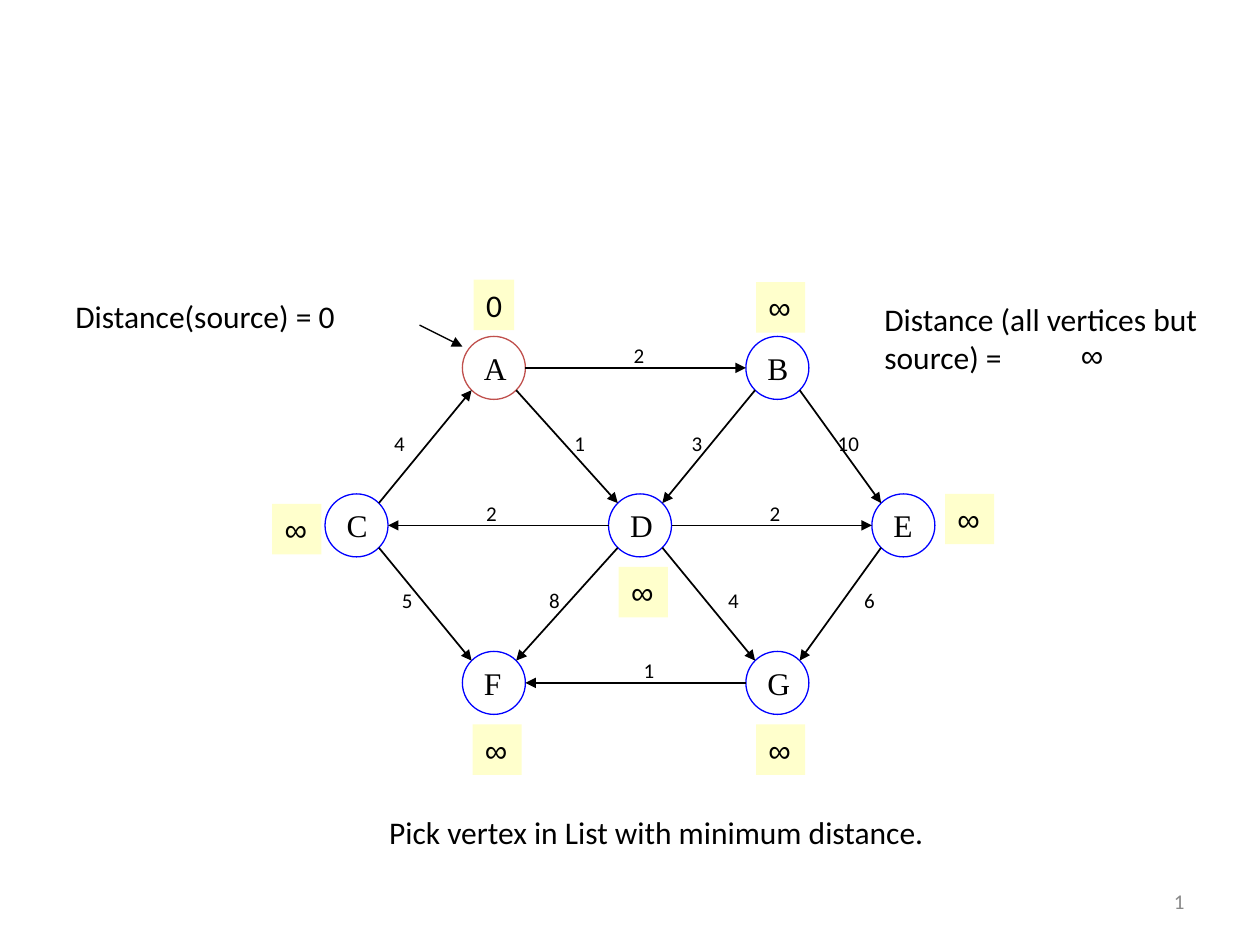
"""Build a slide showing the first step of a shortest-path search on a graph."""
from lxml import etree
from pptx import Presentation
from pptx import util as u
from pptx.dml.color import RGBColor
from pptx.enum import shapes, text
from pptx.oxml import ns

BLACK = RGBColor(0x00, 0x00, 0x00)
WHITE = RGBColor(0xFF, 0xFF, 0xFF)
BLUE = RGBColor(0x00, 0x00, 0xFF)
RED = RGBColor(0xC0, 0x50, 0x4D)
YELLOW = RGBColor(0xFF, 0xFF, 0xCC)
GREY = RGBColor(0x89, 0x89, 0x89)

RADIUS = 0.25
DIAGONAL = RADIUS * 0.5 ** 0.5
ROW_TOP, ROW_GAP = 2.92, 1.25
SOURCE = "A"

# vertex: (centre x, row, distance, badge left, badge top)
VERTICES = {
    "A": (3.92, 0, "0", 3.76, 2.22),
    "B": (6.17, 0, "∞", 6.0, 2.24),
    "C": (2.83, 1, "∞", 2.16, 4.0),
    "D": (5.08, 1, "∞", 4.91, 4.5),
    "E": (7.17, 1, "∞", 7.5, 3.92),
    "F": (3.92, 2, "∞", 3.75, 5.75),
    "G": (6.17, 2, "∞", 6.0, 5.75),
}
# (from, to, weight, weight label left)
EDGES = [
    ("A", "B", "2", 4.93), ("A", "D", "1", 4.46), ("B", "D", "3", 5.39),
    ("B", "E", "10", 6.55), ("C", "A", "4", 3.03), ("D", "C", "2", 3.76),
    ("D", "E", "2", 6.01), ("C", "F", "5", 3.09), ("D", "F", "8", 4.26),
    ("D", "G", "4", 5.68), ("E", "G", "6", 6.76), ("G", "F", "1", 5.01),
]
# (wording, box, format)
NOTES = [
    ("Distance(source) = 0", (0.5, 2.31, 2.51, 0.4), {"wrap": True, "before": 11.2}),
    ("Distance (all vertices but source) =", (6.92, 2.33, 2.75, 0.7),
     {"wrap": True, "before": 11.2}),
    ("∞", (8.48, 2.62, 0.49, 0.4), {"wrap": True, "font": "Arial"}),
    ("Pick vertex in List with minimum distance.", (2.99, 6.4, 4.46, 0.4), {}),
    ("1", (7.17, 6.95, 2.33, 0.4),
     {"wrap": True, "size": 12, "color": GREY, "align": text.PP_ALIGN.RIGHT,
      "anchor": text.MSO_ANCHOR.MIDDLE}),
]


def inches(*lengths):
    return [u.Inches(length) for length in lengths]


def write(shape, wording, size=18, font="Calibri", color=BLACK, wrap=False, before=0,
          align=text.PP_ALIGN.LEFT, anchor=text.MSO_ANCHOR.TOP):
    frame = shape.text_frame
    frame.text = wording
    frame.word_wrap = wrap
    frame.vertical_anchor = anchor
    paragraph = frame.paragraphs[0]
    paragraph.alignment = align
    if before:
        paragraph.space_before = u.Pt(before)
    for name, value in {"size": u.Pt(size), "name": font}.items():
        setattr(paragraph.runs[0].font, name, value)
    paragraph.runs[0].font.color.rgb = color


def add_text(slide, wording, box, **style):
    write(slide.shapes.add_textbox(*inches(*box)), wording, **style)


def add_shape(slide, kind, box, fill=None, line=None):
    shape = slide.shapes.add_shape(kind, *inches(*box))
    shape.shadow.inherit = False
    for part, color in ((shape.fill, fill), (shape.line.fill, line)):
        if color is None:
            part.background()
        else:
            part.solid()
            part.fore_color.rgb = color
    if line is not None:
        shape.line.width = u.Pt(0.75)
    return shape


def add_arrow(slide, start, end, width):
    arrow = slide.shapes.add_connector(shapes.MSO_CONNECTOR.STRAIGHT, *inches(*start, *end))
    arrow.line.color.rgb = BLACK
    arrow.line.width = u.Pt(width)
    etree.SubElement(arrow.line._get_or_add_ln(), ns.qn("a:tailEnd"), type="triangle")
    etree.SubElement(arrow._element.spPr, ns.qn("a:effectLst"))


def centre(vertex):
    x, row = VERTICES[vertex][:2]
    return x, ROW_TOP + row * ROW_GAP


def rim(vertex, toward):
    """Return the point on the vertex's circle that faces the other vertex."""
    (x, y), (other_x, other_y) = centre(vertex), centre(toward)
    side = 1 if other_x > x else -1
    if other_y == y:
        return x + side * RADIUS, y
    return x + side * DIAGONAL, y + (DIAGONAL if other_y > y else -DIAGONAL)


def add_edge(slide, start, end, weight, left):
    add_arrow(slide, rim(start, end), rim(end, start), 1)
    start_y, end_y = centre(start)[1], centre(end)[1]
    lift = 0.25 if start_y == end_y else 0.18
    width = 0.19 + 0.09 * len(weight)
    add_text(slide, weight, (left, (start_y + end_y) / 2 - lift, width, 0.3),
             size=12, anchor=text.MSO_ANCHOR.MIDDLE)


def add_vertex(slide, name, distance, left, top):
    x, y = centre(name)
    is_source = name == SOURCE
    circle = add_shape(slide, shapes.MSO_SHAPE.OVAL,
                       (x - RADIUS, y - RADIUS, 2 * RADIUS, 2 * RADIUS),
                       WHITE if is_source else None, RED if is_source else BLUE)
    write(circle, name, font="Times New Roman", anchor=text.MSO_ANCHOR.MIDDLE)
    badge = add_shape(slide, shapes.MSO_SHAPE.RECTANGLE,
                      (left, top, 0.32 if is_source else 0.39, 0.4), YELLOW)
    write(badge, distance, font="Calibri" if is_source else "Arial")


def main():
    presentation = Presentation()
    presentation.slide_width, presentation.slide_height = inches(10, 7.5)
    slide = presentation.slides.add_slide(presentation.slide_layouts[6])
    for name, (_, _, distance, left, top) in VERTICES.items():
        add_vertex(slide, name, distance, left, top)
    for edge in EDGES:
        add_edge(slide, *edge)
    for wording, box, style in NOTES:
        add_text(slide, wording, box, **style)
    add_arrow(slide, (3.33, 2.58), (3.67, 2.75), 0.75)
    presentation.save("out.pptx")


if __name__ == "__main__":
    main()
